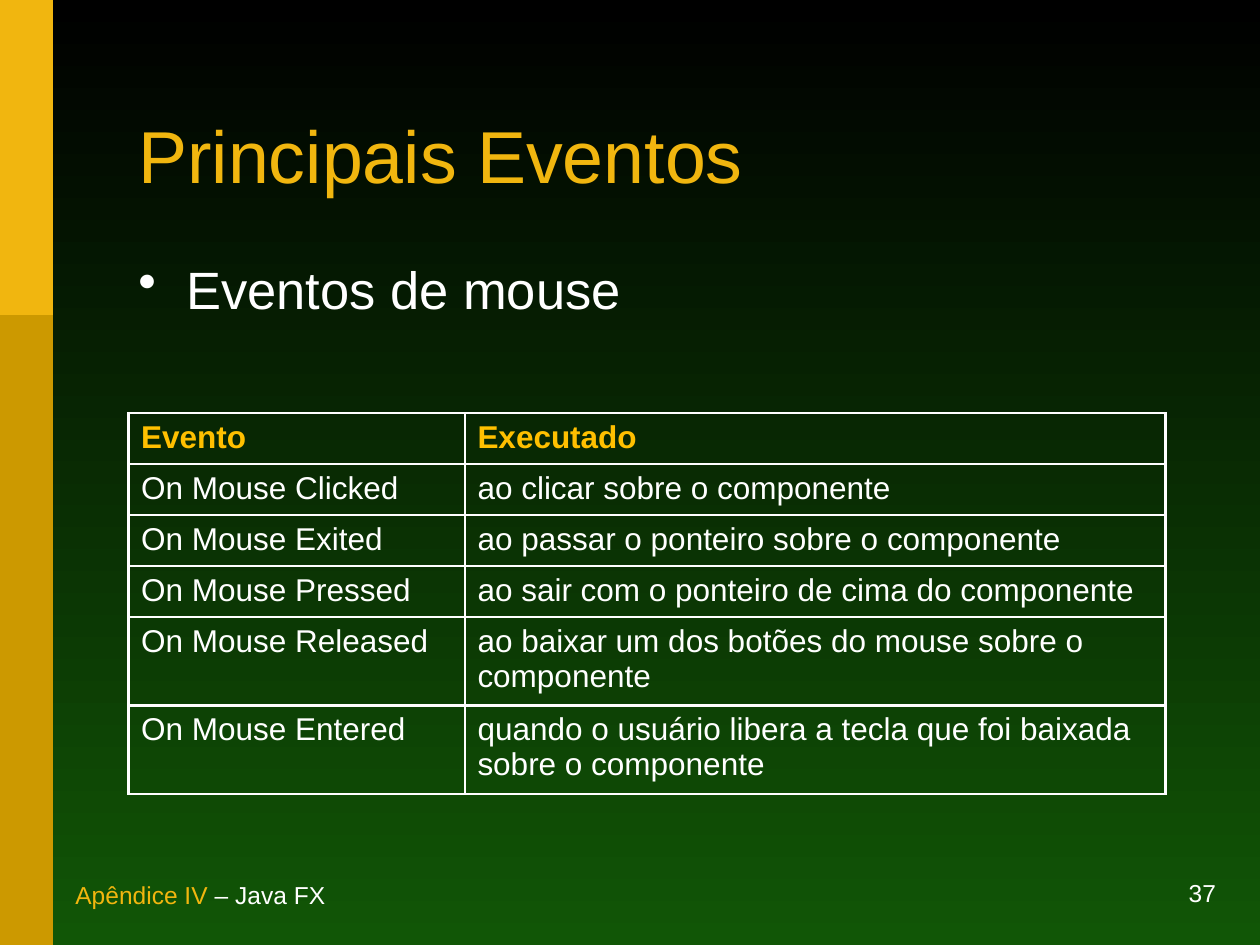
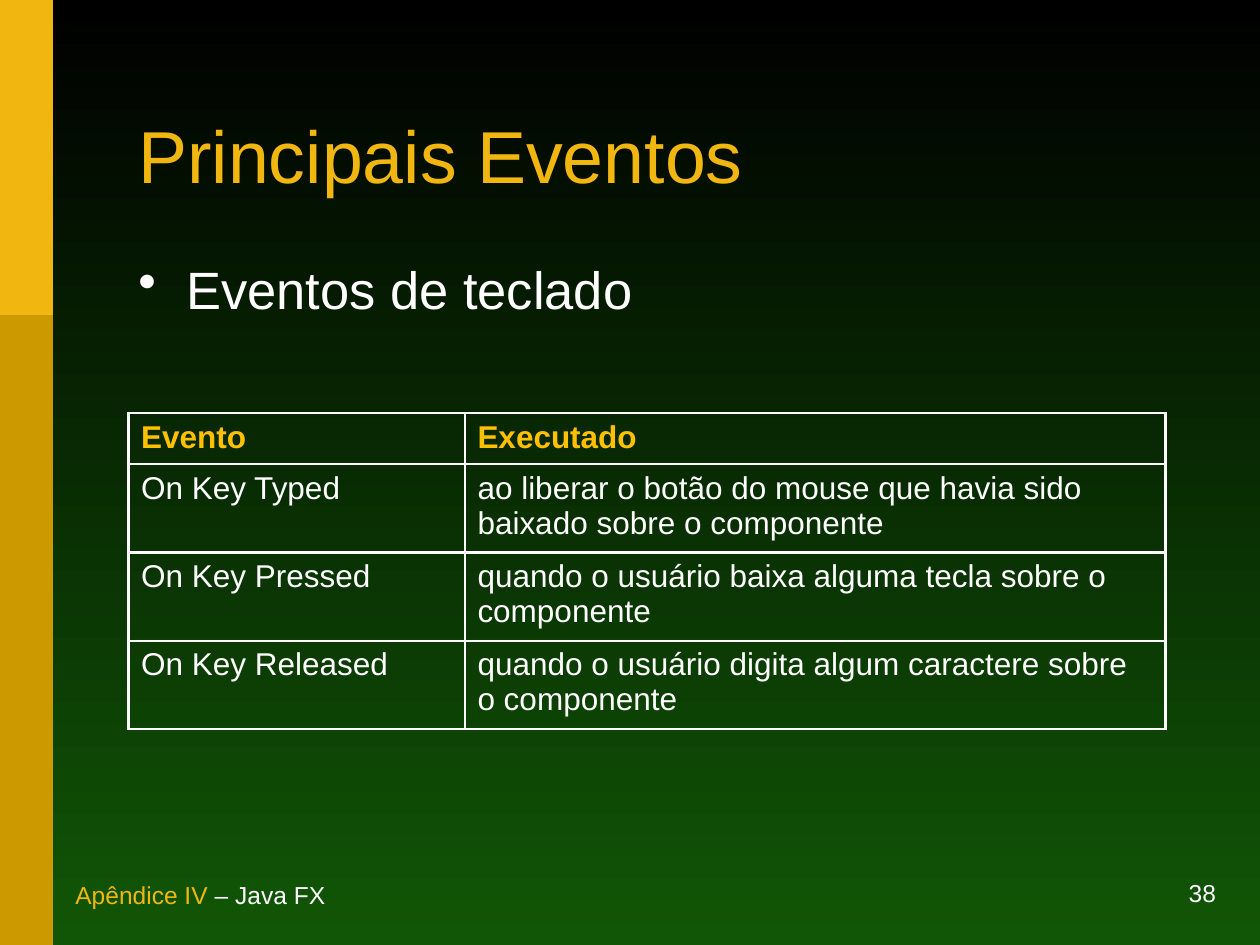
from lxml import etree
from pptx import Presentation
from pptx.dml.color import RGBColor
from pptx.enum.shapes import MSO_SHAPE as SHAPE
from pptx.enum.text import MSO_ANCHOR as ANCHOR, PP_ALIGN as ALIGN
from pptx.oxml.ns import qn
from pptx.util import Inches, Pt

COLORS = {
    "top": "000000",
    "bottom": "115606",
    "gold": "F1B60F",
    "dark_gold": "CC9900",
    "header": "FFC000",
    "text": "FFFFFF",
}
FONT = "Arial"
BORDER = Pt(1.47)
COLUMNS = (2.67, 5.56)
ROW_HEIGHTS = {1: 0.405, 2: 0.7}  # by number of text lines
LINE_CHARS = 45  # characters that fit on a line of the wide column

# Slide number, bullet text, table rows
SLIDES = [
    (37, "Eventos de mouse", [
        ("On Mouse Clicked", "ao clicar sobre o componente"),
        ("On Mouse Exited", "ao passar o ponteiro sobre o componente"),
        ("On Mouse Pressed", "ao sair com o ponteiro de cima do componente"),
        ("On Mouse Released", "ao baixar um dos botões do mouse sobre o componente"),
        ("On Mouse Entered",
         "quando o usuário libera a tecla que foi baixada sobre o componente"),
    ]),
    (38, "Eventos de teclado", [
        ("On Key Typed",
         "ao liberar o botão do mouse que havia sido baixado sobre o componente"),
        ("On Key Pressed", "quando o usuário baixa alguma tecla sobre o componente"),
        ("On Key Released", "quando o usuário digita algum caractere sobre o componente"),
    ]),
]


def rgb(name):
    return RGBColor.from_string(COLORS[name])


class Deck:
    def __init__(self):
        self.prs = Presentation()
        self.prs.slide_width, self.prs.slide_height = Inches(10), Inches(7.5)
        self.s = None

    def new_slide(self, number):
        self.s = self.prs.slides.add_slide(self.prs.slide_layouts[6])
        # Background gradient, top to bottom
        fill = self.s.background.fill
        fill.gradient()
        fill.gradient_angle = 270
        for stop, name in zip(fill.gradient_stops, ("top", "bottom")):
            stop.color.rgb = rgb(name)
        # Side band
        self.band(7.5, "dark_gold")
        self.band(2.5, "gold")
        # Footer
        p = self.text(7.25, 7, 2.5, 0.25, [(str(number), "text")], 14, ANCHOR.BOTTOM, False)
        p.alignment = ALIGN.RIGHT
        self.text(0.5, 7, 6.69, 0.27, [("Apêndice IV", "gold"), (" – Java FX", "text")],
                  14, ANCHOR.BOTTOM, False)

    def band(self, height, color):
        sp = self.s.shapes.add_shape(SHAPE.RECTANGLE, 0, 0, Inches(0.42), Inches(height))
        sp.shadow.inherit = False
        sp.fill.solid()
        sp.fill.fore_color.rgb = rgb(color)
        sp.line.fill.background()

    def style(self, p, size, color=None, bold=False):
        p.font.name, p.font.size, p.font.bold = FONT, Pt(size), bold
        if color:
            p.font.color.rgb = rgb(color)

    def text(self, x, y, w, h, runs, size, anchor=ANCHOR.TOP, wrap=True):
        sp = self.s.shapes.add_textbox(Inches(x), Inches(y), Inches(w), Inches(h))
        tf = sp.text_frame
        tf.word_wrap, tf.vertical_anchor = wrap, anchor
        p = tf.paragraphs[0]
        for content, color in runs:
            r = p.add_run()
            r.text = content
            r.font.color.rgb = rgb(color)
        self.style(p, size)
        return p

    def title(self, content):
        p = self.text(1, 0.63, 8.23, 1.29, [(content, "gold")], 42, ANCHOR.MIDDLE)
        p.line_spacing = 0.85

    def bullet(self, content):
        p = self.text(1, 1.99, 8.23, 0.64, [(content, "text")], 30)
        pPr = p._p.get_or_add_pPr()
        pPr.set("marL", str(Inches(0.38)))
        pPr.set("indent", str(-Inches(0.38)))
        bullet = etree.Element(qn("a:buChar"), char="•")
        pPr.insert(0, bullet)

    def borders(self, cell):
        tcPr = cell._tc.get_or_add_tcPr()
        for i, side in enumerate(("lnL", "lnR", "lnT", "lnB")):
            ln = etree.Element(qn(f"a:{side}"), w=str(BORDER))
            fill = etree.SubElement(ln, qn("a:solidFill"))
            etree.SubElement(fill, qn("a:srgbClr"), val=COLORS["text"])
            tcPr.insert(i, ln)

    def table(self, rows):
        heights = [ROW_HEIGHTS[2 if len(row[1]) > LINE_CHARS else 1] for row in rows]
        frame = self.s.shapes.add_table(len(rows), len(COLUMNS), Inches(1.02), Inches(3.28),
                                        Inches(sum(COLUMNS)), Inches(sum(heights)))
        table = frame.table
        table.horz_banding = False
        for column, width in zip(table.columns, COLUMNS):
            column.width = Inches(width)
        for i, (row, height) in enumerate(zip(rows, heights)):
            table.rows[i].height = Inches(height)
            for cell, content in zip(table.rows[i].cells, row):
                cell.text = content
                cell.fill.background()
                self.borders(cell)
                header = i == 0
                self.style(cell.text_frame.paragraphs[0], 18,
                           "header" if header else "text", header)


def main():
    deck = Deck()
    for number, topic, rows in SLIDES:
        deck.new_slide(number)
        deck.title("Principais Eventos")
        deck.bullet(topic)
        deck.table([("Evento", "Executado"), *rows])
    deck.prs.save("out.pptx")


if __name__ == "__main__":
    main()
